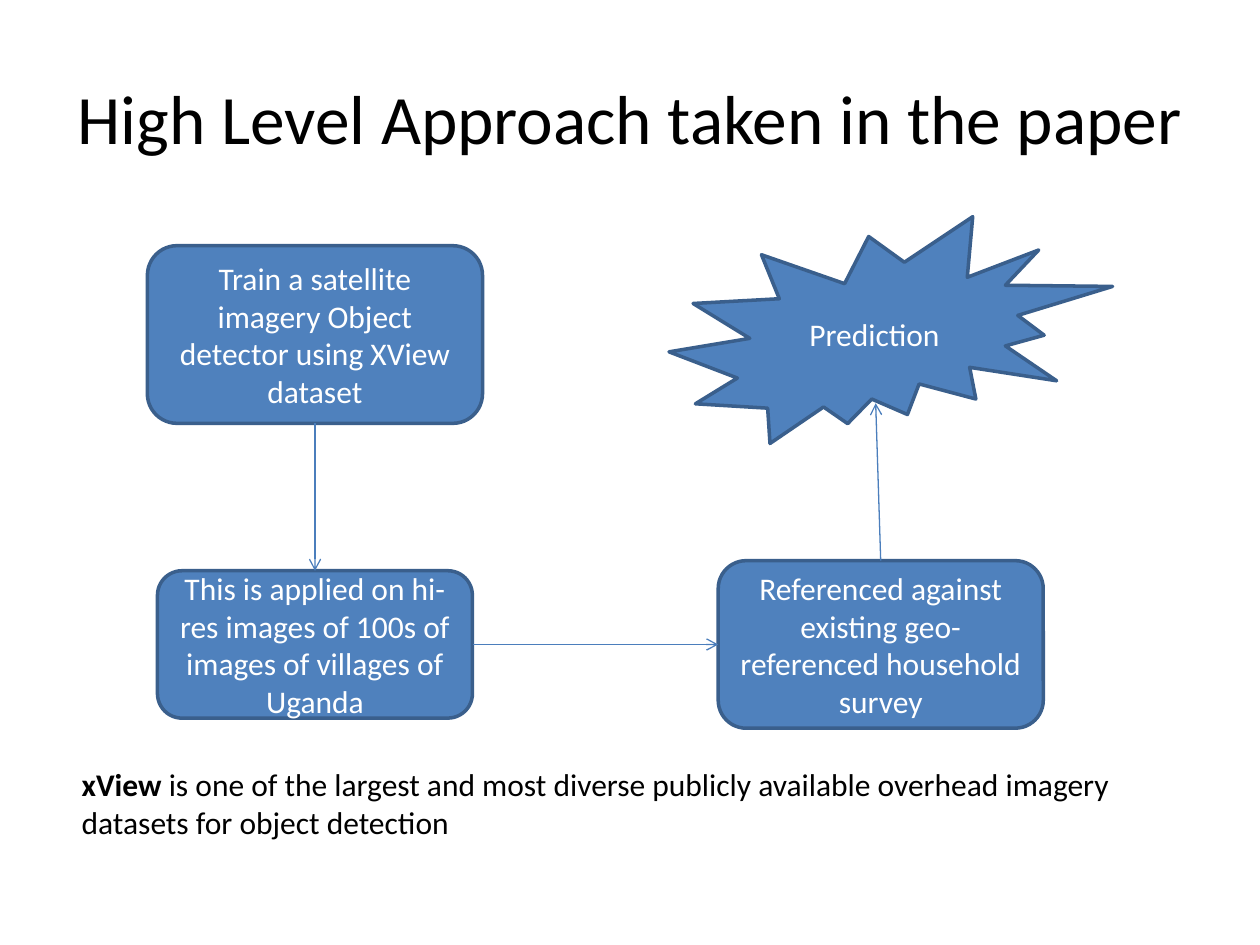
import pptx
import pptx.dml.color
import pptx.enum.shapes
import pptx.enum.text
import pptx.oxml
import pptx.oxml.ns
import pptx.util
from pptx.util import Inches

RGBColor = pptx.dml.color.RGBColor
Shape = pptx.enum.shapes.MSO_SHAPE
Anchor = pptx.enum.text.MSO_ANCHOR
Align = pptx.enum.text.PP_ALIGN

STEP_FILL = RGBColor(0x4F, 0x81, 0xBD)
STEP_EDGE = RGBColor(0x3A, 0x5F, 0x8C)
ARROW_BLUE = RGBColor(0x4B, 0x7E, 0xBC)
WHITE = RGBColor(0xFF, 0xFF, 0xFF)
BLACK = RGBColor(0x00, 0x00, 0x00)
TOP, LEFT, BOTTOM, RIGHT = range(4)


def style_paragraph(paragraph, size, color, alignment):
    """Set the font and alignment of a paragraph."""
    paragraph.font.name = "Calibri"
    paragraph.font.size = pptx.util.Pt(size)
    paragraph.font.color.rgb = color
    paragraph.alignment = alignment


def place(shape, box):
    """Move a shape to a box of left, top, width and height in inches."""
    shape.left, shape.top, shape.width, shape.height = map(Inches, box)


def add_title(slide, box, wording):
    """Fill the title placeholder."""
    title = slide.shapes.title
    place(title, box)
    title.text_frame.text = wording
    title.text_frame.vertical_anchor = Anchor.MIDDLE
    style_paragraph(title.text_frame.paragraphs[0], 39.6, BLACK, Align.CENTER)


def add_step(slide, box, wording, preset=Shape.ROUNDED_RECTANGLE):
    """Add one step of the approach."""
    step = slide.shapes.add_shape(preset, *map(Inches, box))
    step.shadow.inherit = False
    step.fill.solid()
    step.fill.fore_color.rgb = STEP_FILL
    step.line.color.rgb = STEP_EDGE
    step.line.width = pptx.util.Pt(2)
    step.text_frame.text = wording
    step.text_frame.word_wrap = True
    step.text_frame.vertical_anchor = Anchor.MIDDLE
    style_paragraph(step.text_frame.paragraphs[0], 18, WHITE, Align.CENTER)
    return step


def add_arrow(slide, start, end):
    """Add a thin arrow between two points in inches."""
    arrow = slide.shapes.add_connector(
        pptx.enum.shapes.MSO_CONNECTOR.STRAIGHT, *map(Inches, start + end))
    arrow.line.color.rgb = ARROW_BLUE
    arrow.line.width = pptx.util.Pt(0.75)
    head = pptx.oxml.parse_xml(
        f'<a:tailEnd {pptx.oxml.ns.nsdecls("a")} type="arrow"/>')
    arrow.line._get_or_add_ln().append(head)
    properties = arrow._element.spPr
    properties.append(pptx.oxml.parse_xml(
        f'<a:effectLst {pptx.oxml.ns.nsdecls("a")}/>'))
    return arrow


def add_flow(slide):
    """Add the four steps and the arrows that join them."""
    train = add_step(slide, (1.17, 1.95, 2.66, 1.41),
                     "Train a satellite imagery Object detector using XView dataset")
    apply = add_step(slide, (1.25, 4.53, 2.5, 1.17),
                     "This is applied on hi-res images of 100s of images of villages of Uganda")
    reference = add_step(slide, (5.7, 4.45, 2.58, 1.33),
                         "Referenced against existing geo-referenced household survey")
    add_step(slide, (5.31, 1.72, 3.52, 1.8), "Prediction", Shape.EXPLOSION2)

    train_to_apply = add_arrow(slide, (2.5, 3.36), (2.5, 4.53))
    train_to_apply.begin_connect(train, BOTTOM)
    train_to_apply.end_connect(apply, TOP)
    apply_to_reference = add_arrow(slide, (3.75, 5.12), (5.7, 5.12))
    apply_to_reference.begin_connect(apply, RIGHT)
    apply_to_reference.end_connect(reference, LEFT)
    reference_to_prediction = add_arrow(slide, (6.99, 4.45), (6.95, 3.2))
    reference_to_prediction.begin_connect(reference, TOP)


def add_note(slide, box, term, explanation):
    """Add a text that explains a bold term."""
    note = slide.shapes.add_textbox(*map(Inches, box)).text_frame
    note.word_wrap = True
    note.auto_size = pptx.enum.text.MSO_AUTO_SIZE.SHAPE_TO_FIT_TEXT
    paragraph = note.paragraphs[0]
    style_paragraph(paragraph, 18, BLACK, Align.LEFT)
    term_run = paragraph.add_run()
    term_run.text = term
    term_run.font.bold = True
    paragraph.add_run().text = explanation


def main():
    """Build and save the slide."""
    deck = pptx.Presentation()
    deck.slide_width, deck.slide_height = Inches(10), Inches(7.5)
    slide = deck.slides.add_slide(deck.slide_layouts.get_by_name("Title Only"))
    add_title(slide, (0.5, 0.3, 9, 1.25), "High Level Approach taken in the paper")
    add_flow(slide)
    add_note(slide, (0.55, 6.02, 9.14, 0.71), "xView",
             " is one of the largest and most diverse publicly available overhead"
             " imagery datasets for object detection")
    deck.save("out.pptx")


if __name__ == "__main__":
    main()
